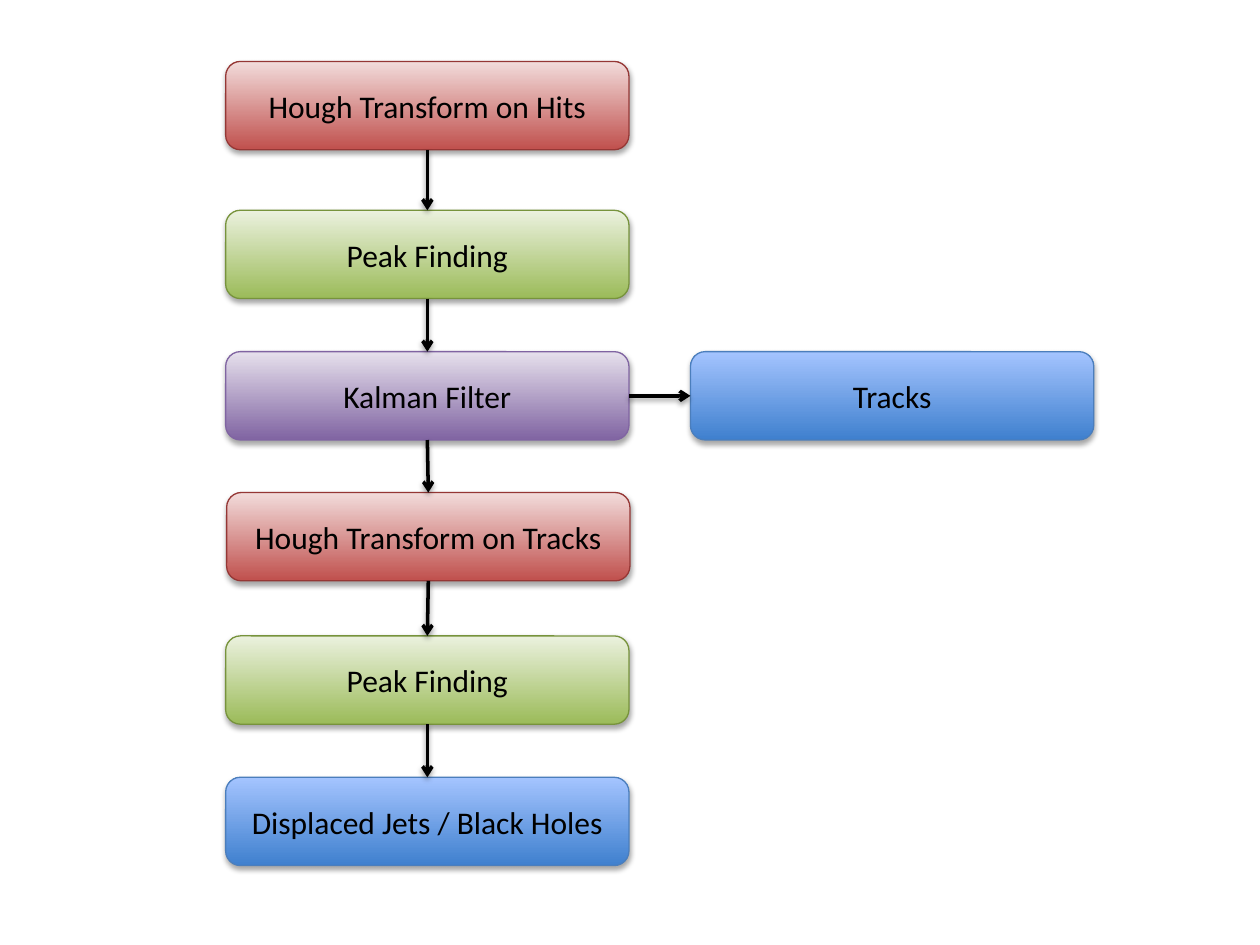
from itertools import pairwise

from lxml.etree import SubElement
from pptx import Presentation
from pptx.dml.color import RGBColor
from pptx.enum.shapes import MSO_CONNECTOR, MSO_SHAPE
from pptx.enum.text import MSO_ANCHOR, PP_ALIGN
from pptx.oxml.ns import qn
from pptx.util import Cm, Pt

STEP_SIZE = (8.13, 1.78)
TOP, LEFT, BOTTOM, RIGHT = range(4)
HOUGH = ("C0504D", "F2DCDB", "953735")
PEAK = ("9BBB59", "EBF1DE", "77933C")
KALMAN = ("8064A2", "E6E0EC", "8064A2")
RESULT = ("3F80CE", "A4C4FF", "4B7EBC")
PIPELINE = [
    ("Hough Transform on Hits", HOUGH, 0, 0),
    ("Peak Finding", PEAK, 0, 3),
    ("Kalman Filter", KALMAN, 0, 5.85),
    ("Hough Transform on Tracks", HOUGH, 0.02, 8.69),
    ("Peak Finding", PEAK, 0, 11.58),
    ("Displaced Jets / Black Holes", RESULT, 0, 14.43),
]


def color(hex_code):
    """Turn a hex string into a colour."""
    return RGBColor.from_string(hex_code)


def apply_format(target, values):
    """Set every attribute named in values on target."""
    for name, value in values.items():
        setattr(target, name, value)


def add_shadow(part, opacity, distance):
    """Give a step or an arrow a soft shadow straight below it."""
    effects = SubElement(part.element.spPr, qn("a:effectLst"))
    shadow = SubElement(effects, qn("a:outerShdw"), blurRad=str(Pt(3.1)),
                        dist=str(Pt(distance)), dir="5400000", rotWithShape="0")
    black = SubElement(shadow, qn("a:srgbClr"), val="000000")
    SubElement(black, qn("a:alpha"), val=str(opacity * 1000))


def add_step(slide, label, palette, left, top):
    """Draw one rounded step with a vertical gradient."""
    width, height = STEP_SIZE
    step = slide.shapes.add_shape(MSO_SHAPE.ROUNDED_RECTANGLE,
                                  Cm(left), Cm(top), Cm(width), Cm(height))
    *shades, outline = palette
    step.fill.gradient()
    step.fill.gradient_angle = 90
    for stop, shade in zip(step.fill.gradient_stops, shades):
        stop.color.rgb = color(shade)
        stop.position = shades.index(shade)
    step.line.color.rgb = color(outline)
    step.line.width = Pt(0.75)
    add_shadow(step, 35, 1.8)

    frame = step.text_frame
    apply_format(frame, {"word_wrap": True, "vertical_anchor": MSO_ANCHOR.MIDDLE})
    paragraph = frame.paragraphs[0]
    paragraph.alignment = PP_ALIGN.CENTER
    run = paragraph.add_run()
    run.text = label
    apply_format(run.font, {"name": "Calibri", "size": Pt(18)})
    run.font.color.rgb = color("000000")
    return step


def add_arrow(slide, source, source_side, target, target_side):
    """Join two steps with an arrow."""
    arrow = slide.shapes.add_connector(MSO_CONNECTOR.STRAIGHT, 0, 0, 0, 0)
    arrow.begin_connect(source, source_side)
    arrow.end_connect(target, target_side)
    arrow.line.color.rgb = color("000000")
    arrow.line.width = Pt(2)
    SubElement(arrow.line._get_or_add_ln(), qn("a:tailEnd"), type="arrow")
    add_shadow(arrow, 38, 1.6)


def add_pipeline(slide, left, top):
    """Stack the processing steps, join them and return them."""
    steps = [add_step(slide, label, palette, left + shift, top + drop)
             for label, palette, shift, drop in PIPELINE]
    for upper, lower in pairwise(steps):
        add_arrow(slide, upper, BOTTOM, lower, TOP)
    return steps


def add_tracks_output(slide, kalman_filter, left, top):
    """Place the side output of the Kalman filter."""
    tracks = add_step(slide, "Tracks", RESULT, left, top)
    add_arrow(slide, kalman_filter, RIGHT, tracks, LEFT)


def main():
    """Build and save the slide."""
    deck = Presentation()
    apply_format(deck, {"slide_width": Cm(25.4), "slide_height": Cm(19.05)})
    slide = deck.slides.add_slide(deck.slide_layouts[6])
    left, top = 4.55, 1.24
    steps = add_pipeline(slide, left, top)
    add_tracks_output(slide, steps[2], left + 9.37, top + 5.85)
    deck.save("out.pptx")


if __name__ == "__main__":
    main()
